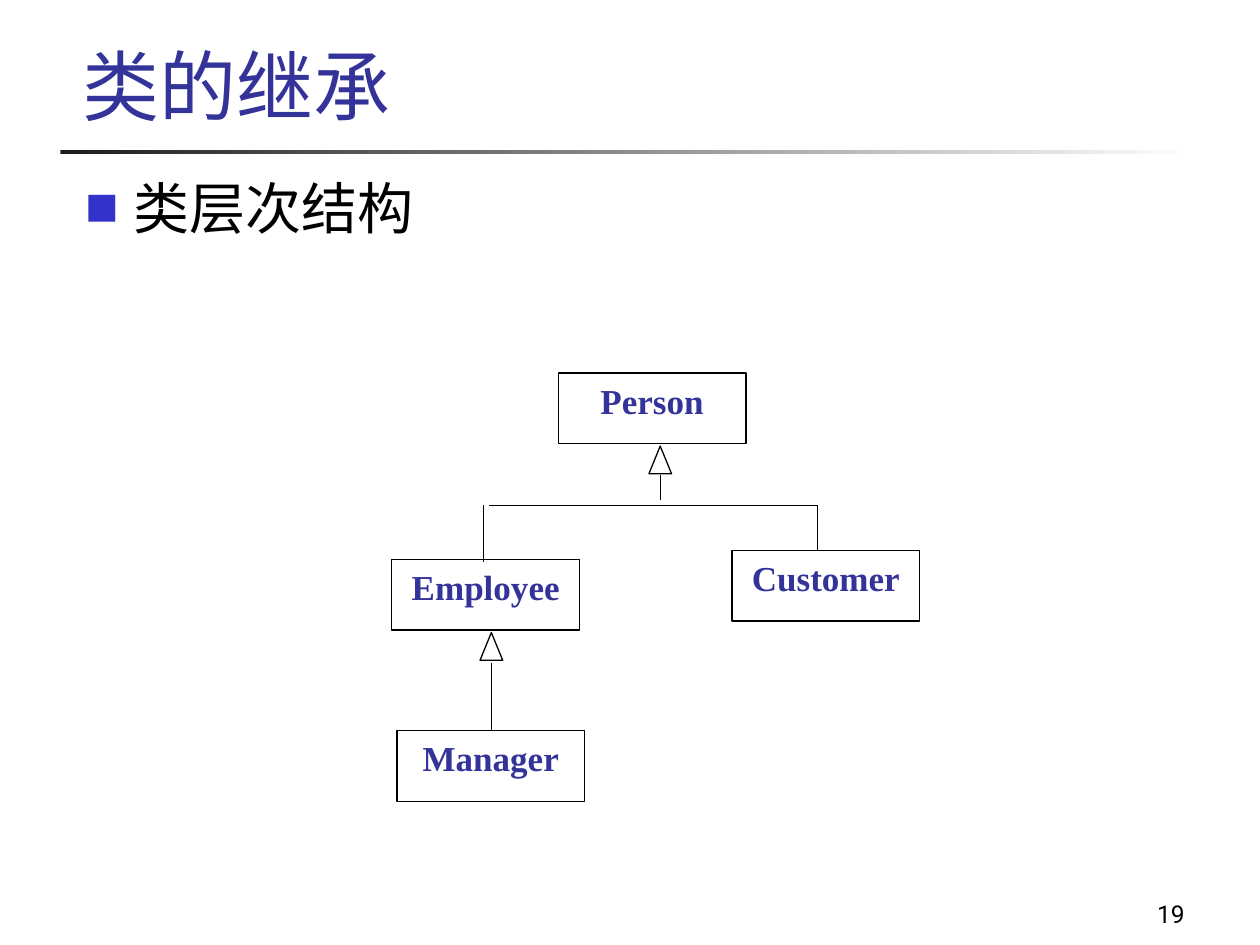
from lxml import etree
from pptx import Presentation
from pptx.dml.color import RGBColor
from pptx.enum.shapes import MSO_CONNECTOR, MSO_SHAPE
from pptx.enum.text import MSO_ANCHOR, PP_ALIGN
from pptx.oxml.ns import qn
from pptx.util import Inches, Pt

COLORS = {"title": "333399", "text": "000000", "line": "000000",
          "bullet": "3333CC", "rule_start": "1C1C1C", "rule_end": "FFFFFF"}
CJK, LATIN, NUMBER = "Noto Sans CJK JP", "Times New Roman", "Roboto"

TITLE = "类的继承"
BULLET = "类层次结构"
PAGE = "19"

BOX_SIZE = (1.49, 0.56)
CLASSES = [("Person", 4.43, 2.96), ("Employee", 3.11, 4.44),
           ("Manager", 3.15, 5.8), ("Customer", 5.81, 4.37)]
ARROW_SIZE = (0.18, 0.22)
ARROW_TIPS = [(5.24, 3.54), (3.9, 5.02)]
LINES = [(3.9, 5.26, 3.9, 5.8),      # Manager to Employee
         (5.24, 3.77, 5.24, 3.97),   # stem below Person
         (3.88, 4.01, 6.49, 4.01),   # crossbar
         (3.84, 4.01, 3.84, 4.46),   # down to Employee
         (6.49, 4.01, 6.49, 4.37)]   # down to Customer


def rgb(name):
    return RGBColor.from_string(COLORS[name])


def add_run(p, text, size, font, color, bold=False):
    r = p.add_run()
    r.text = text
    r.font.size, r.font.name, r.font.bold = Pt(size), font, bold
    r.font.color.rgb = rgb(color)
    if font != NUMBER:
        ea = etree.SubElement(r.font._element, qn("a:ea"))
        ea.set("typeface", CJK)


def add_text(slide, box, anchor=MSO_ANCHOR.TOP):
    """Add a wrapping text box and return its first paragraph."""
    tf = slide.shapes.add_textbox(*map(Inches, box)).text_frame
    tf.word_wrap = True
    tf.vertical_anchor = anchor
    return tf.paragraphs[0]


def add_bullet(p):
    pPr = p._p.get_or_add_pPr()
    pPr.set("marL", str(Inches(0.38)))
    pPr.set("indent", str(-Inches(0.38)))
    color = etree.SubElement(pPr, qn("a:buClr"))
    etree.SubElement(color, qn("a:srgbClr")).set("val", COLORS["bullet"])
    for tag, key, value in [("a:buSzPct", "val", "60000"),
                            ("a:buFont", "typeface", CJK),
                            ("a:buChar", "char", "■")]:
        etree.SubElement(pPr, qn(tag)).set(key, value)


def add_outline(slide, kind, *box):
    s = slide.shapes.add_shape(kind, *map(Inches, box))
    s.shadow.inherit = False
    s.fill.background()
    s.line.color.rgb = rgb("line")
    s.line.width = Pt(0.75)
    return s


def add_line(slide, *ends):
    c = slide.shapes.add_connector(MSO_CONNECTOR.STRAIGHT, *map(Inches, ends))
    c.line.color.rgb = rgb("line")
    c.line.width = Pt(0.75)
    etree.SubElement(c._element.spPr, qn("a:effectLst"))


def add_title_rule(slide):
    s = add_outline(slide, MSO_SHAPE.RECTANGLE, 0.48, 1.19, 9, 0.03)
    s.line.fill.background()
    s.fill.gradient()
    s.fill.gradient_angle = 0
    for stop, name, pos in zip(s.fill.gradient_stops,
                               ("rule_start", "rule_end"), (0, 1)):
        stop.color.rgb = rgb(name)
        stop.position = pos


def main():
    prs = Presentation()
    prs.slide_width, prs.slide_height = Inches(10), Inches(7.5)
    slide = prs.slides.add_slide(prs.slide_layouts[6])

    add_title_rule(slide)
    p = add_text(slide, (7.42, 6.92, 2.08, 0.5), MSO_ANCHOR.BOTTOM)
    p.alignment = PP_ALIGN.RIGHT
    add_run(p, PAGE, 14, NUMBER, "text")
    p = add_text(slide, (0.56, 0.17, 8.52, 0.92), MSO_ANCHOR.BOTTOM)
    add_run(p, TITLE, 44, CJK, "title")
    p = add_text(slide, (0.58, 1.33, 8.5, 5.5))
    p.space_before = Pt(8)
    add_bullet(p)
    add_run(p, BULLET, 32, LATIN, "text")

    for name, x, y in CLASSES:
        s = add_outline(slide, MSO_SHAPE.RECTANGLE, x, y, *BOX_SIZE)
        tf = s.text_frame
        tf.vertical_anchor = MSO_ANCHOR.TOP
        p = tf.paragraphs[0]
        p.alignment = PP_ALIGN.CENTER
        add_run(p, name, 20, LATIN, "title", bold=True)
    for x, y in ARROW_TIPS:
        add_outline(slide, MSO_SHAPE.ISOSCELES_TRIANGLE,
                    x - ARROW_SIZE[0] / 2, y, *ARROW_SIZE)
    for ends in LINES:
        add_line(slide, *ends)

    prs.save("out.pptx")


if __name__ == "__main__":
    main()
